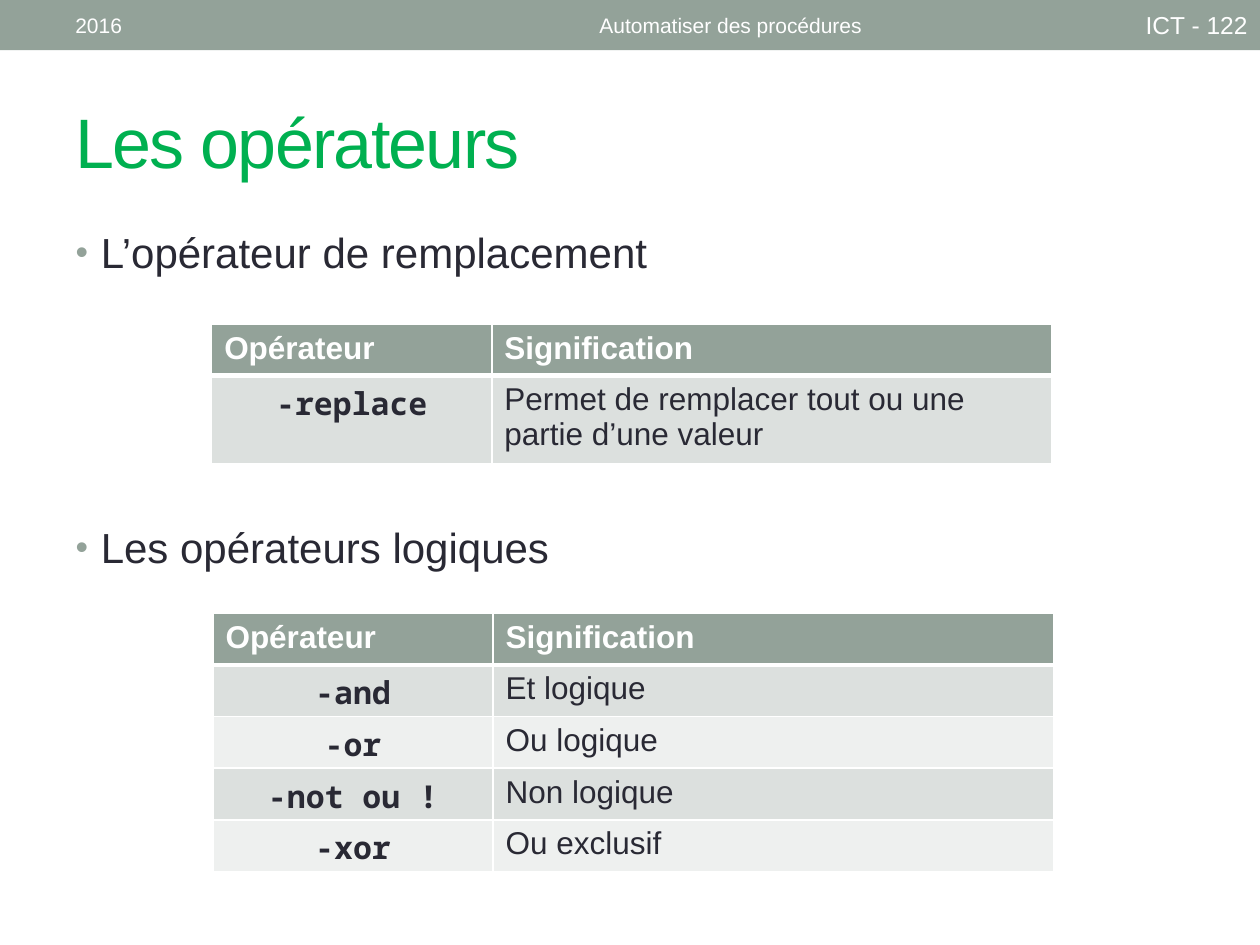
from dataclasses import dataclass

from lxml.etree import SubElement
from pptx import Presentation
from pptx.dml.color import RGBColor
from pptx.enum.shapes import MSO_SHAPE
from pptx.enum.text import MSO_ANCHOR, MSO_AUTO_SIZE, PP_ALIGN
from pptx.oxml.ns import qn
from pptx.util import Inches, Pt


@dataclass(frozen=True)
class Theme:
    sans: str = "Arial"
    mono: str = "Noto Sans Mono"
    accent: str = "93A299"
    heading: str = "00B050"
    ink: str = "292934"
    paper: str = "FFFFFF"
    bands: tuple = ("DCE0DE", "EEF0EF")
    title_size: int = 40
    list_size: int = 24
    table_size: int = 18
    course_size: int = 14
    header_size: int = 12


@dataclass(frozen=True)
class Box:
    """Area in inches."""
    left: float
    top: float
    width: float
    height: float

    def area(self, x, y, width, height):
        """Area given as shares of this one."""
        return Box(self.left + x * self.width, self.top + y * self.height,
                   width * self.width, height * self.height)

    def emu(self):
        return [Inches(v) for v in (self.left, self.top, self.width, self.height)]


THEME = Theme()
PAGE = Box(0, 0, 10, 7.5)
HEADER = ("Opérateur", "Signification")
COLUMN_SHARES = (1 / 3, 2 / 3)
ROW_HEIGHT = 0.41


def format_text(paragraph, size, color, font=THEME.sans, bold=False,
                align=PP_ALIGN.LEFT):
    paragraph.alignment = align
    for run in paragraph.runs:
        run.font.name = font
        run.font.size = Pt(size)
        run.font.bold = bold
        run.font.color.rgb = RGBColor.from_string(color)


def place(shape, box):
    shape.left, shape.top, shape.width, shape.height = box.emu()


def add_header(slide, box):
    band = slide.shapes.add_shape(MSO_SHAPE.RECTANGLE, *box.emu())
    band.shadow.inherit = False
    band.fill.solid()
    band.fill.fore_color.rgb = RGBColor.from_string(THEME.accent)
    band.line.fill.background()

    labels = (
        ("2016", 0.05, 0.32, THEME.header_size, PP_ALIGN.LEFT),
        ("Automatiser des procédures", 0.375, 0.41, THEME.header_size, PP_ALIGN.CENTER),
        ("ICT - 122", 0.78, 0.22, THEME.course_size, PP_ALIGN.RIGHT),
    )
    for words, x, width, size, align in labels:
        label = slide.shapes.add_textbox(*box.area(x, 0.05, width, 0.9).emu())
        frame = label.text_frame
        frame.word_wrap = True
        frame.vertical_anchor = MSO_ANCHOR.MIDDLE
        frame.text = words
        format_text(frame.paragraphs[0], size, THEME.paper, align=align)


def fill_title(slide, box, words):
    title = slide.shapes.title
    place(title, box)
    frame = title.text_frame
    frame.text = words
    frame.auto_size = MSO_AUTO_SIZE.NONE
    frame.vertical_anchor = MSO_ANCHOR.MIDDLE
    format_text(frame.paragraphs[0], THEME.title_size, THEME.heading)
    frame.paragraphs[0].runs[0].font._element.set("spc", "-100")


def add_bullet(paragraph):
    properties = paragraph._p.get_or_add_pPr()
    indent = Inches(0.2)
    properties.set("marL", str(indent))
    properties.set("indent", str(-indent))
    color = SubElement(properties, qn("a:buClr"))
    SubElement(color, qn("a:srgbClr"), val=THEME.accent)
    SubElement(properties, qn("a:buSzPct"), val="85000")
    SubElement(properties, qn("a:buFont"), typeface=THEME.sans)
    SubElement(properties, qn("a:buChar"), char="•")


def fill_topics(slide, box, topics):
    """Write (words, points of space above) as a bulleted list."""
    body = slide.placeholders[1]
    place(body, box)
    frame = body.text_frame
    frame.text = "\n".join(words for words, _ in topics)
    frame.auto_size = MSO_AUTO_SIZE.NONE
    for paragraph, (_, space) in zip(frame.paragraphs, topics):
        paragraph.space_before = Pt(space)
        format_text(paragraph, THEME.list_size, THEME.ink)
        add_bullet(paragraph)


def set_borders(cell, **widths):
    properties = cell._tc.get_or_add_tcPr()
    for side in "LRTB":
        line = SubElement(properties, qn(f"a:ln{side}"), w=str(Pt(widths.get(side, 1))))
        fill = SubElement(line, qn("a:solidFill"))
        SubElement(fill, qn("a:srgbClr"), val=THEME.paper)


def style_cell(cell, row, column):
    paragraph = cell.text_frame.paragraphs[0]
    if row == 0:
        background = THEME.accent
        set_borders(cell, B=3)
        format_text(paragraph, THEME.table_size, THEME.paper, bold=True)
    else:
        background = THEME.bands[(row - 1) % 2]
        set_borders(cell, T=3 if row == 1 else 1)
        if column == 0:
            format_text(paragraph, THEME.table_size, THEME.ink, THEME.mono,
                        bold=True, align=PP_ALIGN.CENTER)
        else:
            format_text(paragraph, THEME.table_size, THEME.ink)
    cell.fill.solid()
    cell.fill.fore_color.rgb = RGBColor.from_string(background)


def add_operators(slide, box, operators):
    rows = (HEADER, *operators)
    table = slide.shapes.add_table(len(rows), len(HEADER), *box.emu()).table
    for column, share in zip(table.columns, COLUMN_SHARES):
        column.width = Inches(box.width * share)
    for r, values in enumerate(rows):
        table.rows[r].height = Inches(ROW_HEIGHT)
        for c, value in enumerate(values):
            cell = table.cell(r, c)
            cell.text = value
            style_cell(cell, r, c)


def main():
    deck = Presentation()
    deck.slide_width, deck.slide_height = Inches(PAGE.width), Inches(PAGE.height)
    slide = deck.slides.add_slide(deck.slide_layouts[1])

    add_header(slide, PAGE.area(0, 0, 1, 0.053))
    fill_title(slide, PAGE.area(0.05, 0.077, 0.9, 0.144), "Les opérateurs")
    fill_topics(slide, PAGE.area(0.05, 0.233, 0.9, 0.711), (
        ("L’opérateur de remplacement", 5),
        ("Les opérateurs logiques", 140),
    ))
    add_operators(slide, PAGE.area(0.168, 0.343, 0.667, 0.11), (
        ("-replace", "Permet de remplacer tout ou une partie d’une valeur"),
    ))
    add_operators(slide, PAGE.area(0.169, 0.649, 0.667, 0.27), (
        ("-and", "Et logique"),
        ("-or", "Ou logique"),
        ("-not ou !", "Non logique"),
        ("-xor", "Ou exclusif"),
    ))
    deck.save("out.pptx")


if __name__ == "__main__":
    main()
